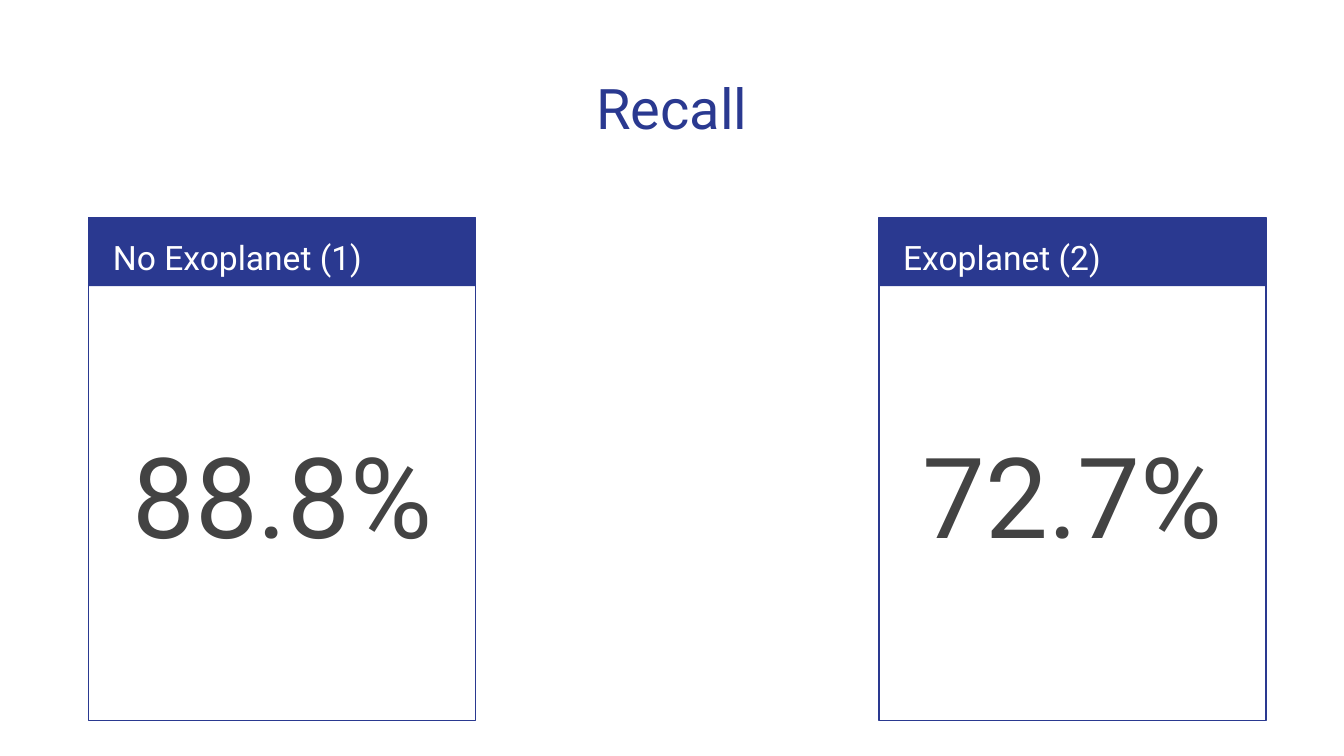
"""Build the Recall slide comparing two result cards."""
from dataclasses import dataclass

from lxml.etree import SubElement
from pptx import Presentation
from pptx.dml.color import RGBColor
from pptx.enum.shapes import MSO_SHAPE as Preset
from pptx.enum.text import MSO_ANCHOR as Anchor, MSO_AUTO_SIZE as AutoSize, PP_ALIGN as Align
from pptx.oxml.ns import qn
from pptx.shapes.placeholder import SlidePlaceholder
from pptx.slide import Slide
from pptx.util import Inches, Pt


@dataclass(frozen=True)
class Theme:
    font: str = "Roboto"
    accent: RGBColor = RGBColor(0x2A, 0x39, 0x90)
    light: RGBColor = RGBColor(0xFF, 0xFF, 0xFF)
    dark: RGBColor = RGBColor(0x43, 0x43, 0x43)
    title_size: int = 30
    heading_size: int = 18
    value_size: int = 60


@dataclass(frozen=True)
class Card:
    left: float
    heading: str
    value: str
    heading_index: int
    value_index: int


@dataclass(frozen=True)
class Box:
    left: float
    top: float
    width: float
    height: float

    def lengths(self) -> tuple[Inches, ...]:
        return tuple(Inches(n) for n in (self.left, self.top, self.width, self.height))


THEME = Theme()
SLIDE_WIDTH = 10
SLIDE_HEIGHT = SLIDE_WIDTH * 9 / 16
CARD_TOP, CARD_WIDTH, CARD_HEIGHT, HEADER_HEIGHT = 1.62, 2.88, 3.74, 0.51
TEXT_INSET, TEXT_WIDTH = 0.08, 2.72
CARDS = (
    Card(6.54, "Exoplanet (2)", "72.7%", 3, 4),
    Card(0.66, "No Exoplanet (1)", "88.8%", 1, 2),
)


def fill_placeholder(placeholder: SlidePlaceholder, box: Box, text: str, size: int,
                     color: RGBColor, align: Align, line_spacing: float = 1.0,
                     space_after: int = 0) -> None:
    """Place a placeholder in front and format its single paragraph."""
    placeholder.left, placeholder.top, placeholder.width, placeholder.height = box.lengths()
    placeholder.element.getparent().append(placeholder.element)
    frame = placeholder.text_frame
    frame.text = text
    frame.word_wrap = True
    frame.auto_size = AutoSize.NONE
    frame.vertical_anchor = Anchor.TOP
    frame.margin_left = frame.margin_right = Inches(0.1)
    frame.margin_top = frame.margin_bottom = Inches(0.1)
    paragraph = frame.paragraphs[0]
    paragraph.alignment = align
    paragraph.line_spacing = line_spacing
    paragraph.space_before = Pt(0)
    paragraph.space_after = Pt(space_after)
    properties = paragraph._p.get_or_add_pPr()
    properties.set("marL", "0")
    properties.set("indent", "0")
    SubElement(properties, qn("a:buNone"))
    font = paragraph.runs[0].font
    font.name, font.size, font.bold = THEME.font, Pt(size), False
    font.color.rgb = color


def draw_card(slide: Slide, card: Card) -> None:
    """Draw a grouped header and frame with a heading and a value."""
    group = slide.shapes.add_group_shape()
    header = group.shapes.add_shape(
        Preset.RECTANGLE, *Box(card.left, CARD_TOP, CARD_WIDTH, HEADER_HEIGHT).lengths())
    header.shadow.inherit = False
    header.fill.solid()
    header.fill.fore_color.rgb = THEME.accent
    header.line.fill.background()
    frame = group.shapes.add_shape(
        Preset.RECTANGLE, *Box(card.left, CARD_TOP, CARD_WIDTH, CARD_HEIGHT).lengths())
    frame.shadow.inherit = False
    frame.fill.background()
    frame.line.color.rgb = THEME.accent
    frame.line.width = Pt(0.75)
    text_left = card.left + TEXT_INSET
    fill_placeholder(slide.placeholders[card.heading_index],
                     Box(text_left, CARD_TOP, TEXT_WIDTH, 0.5), card.heading,
                     THEME.heading_size, THEME.light, Align.LEFT, 1.15)
    fill_placeholder(slide.placeholders[card.value_index],
                     Box(text_left, 2.92, TEXT_WIDTH, 1.14), card.value,
                     THEME.value_size, THEME.dark, Align.CENTER, 1.15, 16)


def main() -> None:
    """Create and save the presentation."""
    presentation = Presentation()
    presentation.slide_width = Inches(SLIDE_WIDTH)
    presentation.slide_height = Inches(SLIDE_HEIGHT)
    comparison_layout = presentation.slide_layouts[4]
    slide = presentation.slides.add_slide(comparison_layout)
    fill_placeholder(slide.shapes.title, Box(0.34, 0.45, 9.32, 5), "Recall",
                     THEME.title_size, THEME.accent, Align.CENTER)
    for card in CARDS:
        draw_card(slide, card)
    presentation.save("out.pptx")


main()
